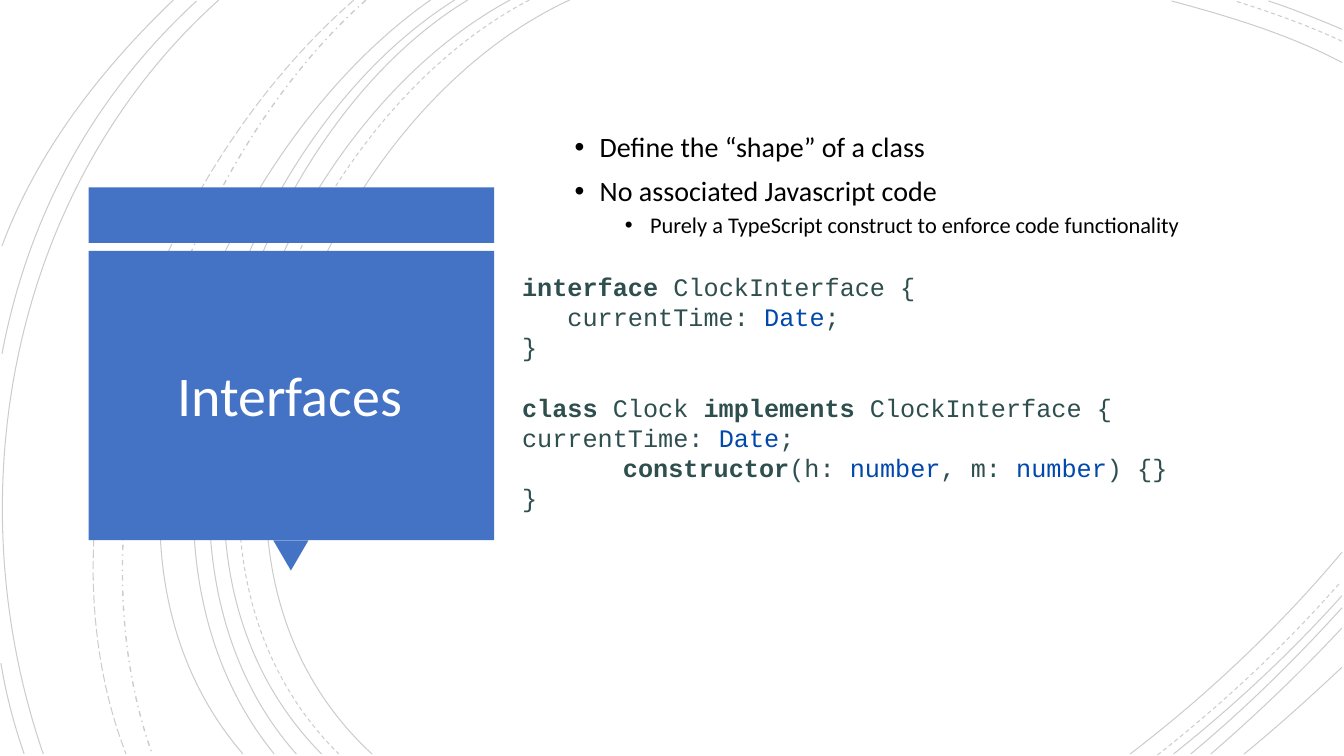
from lxml.etree import SubElement
from pptx import Presentation
from pptx.dml.color import RGBColor
from pptx.enum.dml import MSO_LINE
from pptx.enum.shapes import MSO_SHAPE
from pptx.enum.text import MSO_ANCHOR, PP_ALIGN
from pptx.oxml.ns import qn
from pptx.util import Inches, Pt

BLUE, WHITE, BLACK = "4472C4", "FFFFFF", "000000"
SLATE, NAVY = "2F4F4F", "0048AB"
SOLID, DASH = MSO_LINE.SOLID, MSO_LINE.DASH
ARCS = [
    ((5.65, 0), (3.15, 1.15), (1.43, 5.4), (3.69, 7.48), SOLID),
    ((13.31, .62), (12.78, .34), (12.18, .16), (11.62, .01), SOLID),
    ((11.21, 7.48), (11.97, 6.9), (12.69, 6.22), (13.31, 5.48), SOLID),
    ((5.25, 0), (2.85, 1.25), (1.23, 5.37), (3.36, 7.48), DASH),
    ((13.31, .41), (12.97, .25), (12.6, .12), (12.25, .01), DASH),
    ((11.48, 7.49), (12.13, 6.98), (12.75, 6.4), (13.3, 5.77), DASH),
    ((5.06, 0), (2.7, 1.27), (1.1, 5.37), (3.19, 7.48), SOLID),
    ((13.31, .29), (13.07, .19), (12.83, .09), (12.58, .01), SOLID),
    ((11.64, 7.48), (12.23, 7.01), (12.8, 6.48), (13.31, 5.91), SOLID),
    ((4.64, 0), (2.44, 1.33), (1.1, 5.41), (2.94, 7.48), SOLID),
    ((11.81, 7.48), (12.34, 7.04), (12.84, 6.55), (13.31, 6.03), SOLID),
    ((4.51, 0), (2.31, 1.38), (.97, 5.33), (2.72, 7.48), SOLID),
    ((12.01, 7.48), (12.46, 7.09), (12.9, 6.67), (13.31, 6.23), SOLID),
    ((4.27, 0), (2.17, 1.47), (.53, 5.29), (2.41, 7.48), SOLID),
    ((12.34, 7.48), (12.67, 7.21), (12.99, 6.92), (13.31, 6.62), SOLID),
    ((3.63, 0), (1.76, 1.66), (.65, 5.09), (1.51, 7.48), MSO_LINE.DASH_DOT),
    ((3.51, 0), (1.57, 1.69), (.29, 4.99), (1.25, 7.48), MSO_LINE.LONG_DASH),
    ((2.17, 0), (.11, 1.85), (-.46, 4.9), (.43, 7.48), SOLID),
    ((1.95, .01), (.92, .96), (.28, 2.14), (.02, 3.51), SOLID),
    ((.01, 6.58), (.06, 6.89), (.14, 7.19), (.24, 7.48), SOLID),
    ((1.72, 0), (1, .69), (.37, 1.5), (.02, 2.44), SOLID),
]
POINTS = [
    ("Define the “shape” of a class", 20, .25, 10),
    ("No associated Javascript code", 20, .25, 10),
    ("Purely a TypeScript construct to enforce code functionality", 16, .75, 5),
]
CODE = [
    (0, 0, [("interface ", "b"), ("ClockInterface {", "")]),
    (.45, 0, [("currentTime: ", ""), ("Date", "t"), (";", "")]),
    (0, 0, [("}", "")]),
    (0, 21.6, [("class", "b"), (" Clock ", ""), ("implements ", "b"),
               ("ClockInterface {", "")]),
    (0, 0, [("currentTime: ", ""), ("Date", "t"), (";", "")]),
    (1, 0, [("constructor", "b"), ("(h: ", ""), ("number", "t"),
            (", m: ", ""), ("number", "t"), (") {}", "")]),
    (0, 0, [("}", "")]),
]


def shade(tint):
    """Return the colour for a hex string."""
    return RGBColor.from_string(tint)


def fill(form, tint):
    """Give a fill one solid colour."""
    form.solid()
    form.fore_color.rgb = shade(tint)


def style(run, size, tint, face="Calibri", bold=False):
    """Format one run."""
    font = run.font
    font.name, font.size, font.bold = face, Pt(size), bold
    font.color.rgb = shade(tint)


def indent(para, left, hang=0):
    """Set the left margin and hanging indent of a paragraph."""
    props = para._p.get_or_add_pPr()
    props.set("marL", str(Inches(left)))
    props.set("indent", str(-Inches(hang)))
    return props


def bend(arc):
    """Turn the three segments of an outline into one cubic curve."""
    track = arc._element.find(".//" + qn("a:path"))
    cubic = SubElement(track, qn("a:cubicBezTo"))
    for piece in track.findall(qn("a:lnTo")):
        cubic.append(piece[0])
        track.remove(piece)


def add_arcs(slide, left, top):
    """Draw the faint arcs behind the content."""
    for *knots, dash in ARCS:
        spots = [(Inches(left + x), Inches(top + y)) for x, y in knots]
        pen = slide.shapes.build_freeform(*spots[0])
        pen.add_line_segments(spots[1:], close=False)
        arc = pen.convert_to_shape()
        bend(arc)
        arc.shadow.inherit = False
        arc.fill.background()
        fill(arc.line.fill, BLACK)
        arc.line.width = Pt(1 if dash == MSO_LINE.DASH_DOT else .75)
        arc.line.dash_style = dash
        tone = arc._element.spPr.find(".//" + qn("a:srgbClr"))
        SubElement(tone, qn("a:alpha")).set("val", "20000")


def add_block(slide, kind, left, top, width, height):
    """Add one plain blue shape."""
    block = slide.shapes.add_shape(
        kind, Inches(left), Inches(top), Inches(width), Inches(height))
    block.shadow.inherit = False
    fill(block.fill, BLUE)
    block.line.fill.background()
    return block


def add_panel(slide, left, top, width, height):
    """Build the blue callout and set the title in it."""
    add_block(slide, MSO_SHAPE.RECTANGLE, left, top, width, .55)
    tip = add_block(slide, MSO_SHAPE.ISOSCELES_TRIANGLE,
                    left + 1.83, top + height - .3, .35, .3)
    tip.rotation = 180
    add_block(slide, MSO_SHAPE.RECTANGLE, left, top + .63, width, height - .93)
    title = slide.shapes.title
    title.left, title.top = Inches(left + .11), Inches(top + .78)
    title.width, title.height = Inches(width - .25), Inches(height - 1.18)
    frame = title.text_frame
    frame.text = "Interfaces"
    frame.vertical_anchor = MSO_ANCHOR.MIDDLE
    para = frame.paragraphs[0]
    para.alignment, para.line_spacing = PP_ALIGN.CENTER, .9
    style(para.runs[0], 40, WHITE)
    slide.shapes._spTree.append(title._element)


def add_frame(slide, left, top, width, height):
    """Add a wrapping text box and return its frame."""
    box = slide.shapes.add_textbox(
        Inches(left), Inches(top), Inches(width), Inches(height))
    box.text_frame.word_wrap = True
    return box.text_frame


def add_points(slide, left, top, width, height):
    """Write the bulleted points."""
    frame = add_frame(slide, left, top, width, height)
    frame.vertical_anchor = MSO_ANCHOR.MIDDLE
    frame.text = "\n".join(point[0] for point in POINTS)
    for para, (_, size, inset, gap) in zip(frame.paragraphs, POINTS):
        para.level = int(inset > .5)
        para.line_spacing, para.space_before = .9, Pt(gap)
        props = indent(para, inset, .25)
        SubElement(props, qn("a:buFont")).set("typeface", "Arial")
        SubElement(props, qn("a:buChar")).set("char", "•")
        style(para.runs[0], size, BLACK)


def add_code(slide, left, top, width, height):
    """Write the code sample with its syntax colours."""
    frame = add_frame(slide, left, top, width, height)
    for row, (inset, gap, parts) in enumerate(CODE):
        para = frame.add_paragraph() if row else frame.paragraphs[0]
        para.line_spacing, para.space_before = Pt(21.6), Pt(gap)
        indent(para, inset)
        for text, mark in parts:
            run = para.add_run()
            run.text = text
            style(run, 18, NAVY if mark == "t" else SLATE,
                  "Courier New", mark == "b")


def main():
    """Build and save the slide."""
    deck = Presentation()
    deck.slide_width, deck.slide_height = Inches(13.33), Inches(7.5)
    slide = deck.slides.add_slide(deck.slide_layouts[5])
    add_arcs(slide, 0, 0)
    add_panel(slide, .88, 1.86, 4.02, 3.8)
    add_points(slide, 5.6, .88, 6.87, 1.93)
    add_code(slide, 5.08, 2.64, 7.52, 2.52)
    deck.save("out.pptx")


if __name__ == "__main__":
    main()
